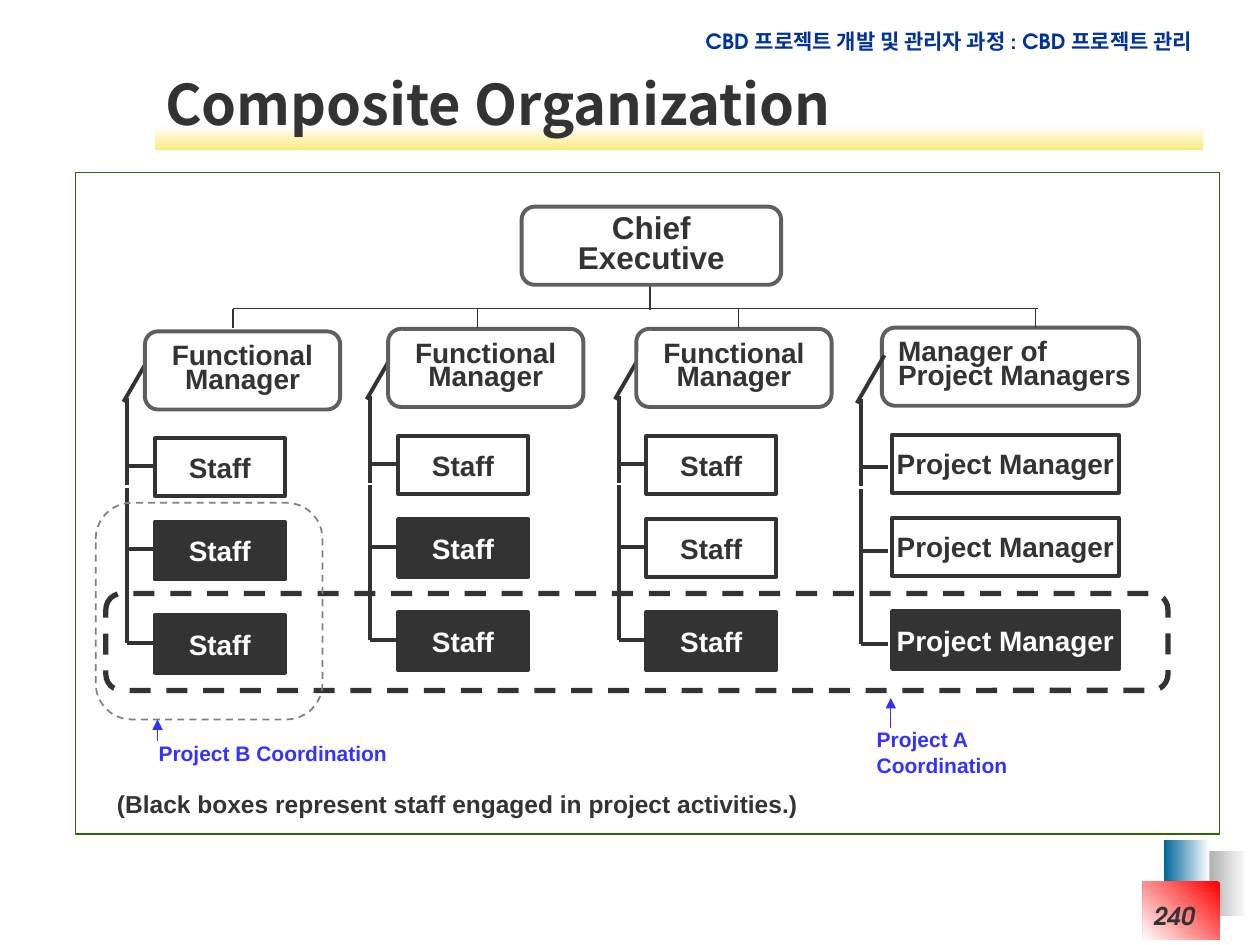
from dataclasses import dataclass

import pptx
import pptx.dml.color
import pptx.enum.dml
import pptx.enum.shapes
import pptx.enum.text
import pptx.oxml
import pptx.util
from lxml import etree

Inches, Pt = pptx.util.Inches, pptx.util.Pt
SHAPES = pptx.enum.shapes.MSO_SHAPE
ALIGN = pptx.enum.text.PP_ALIGN
ANCHOR = pptx.enum.text.MSO_ANCHOR
DASH = pptx.enum.dml.MSO_LINE.DASH
DARK, GREY, WHITE, BLUE = "333333", "5F5F5F", "FFFFFF", "3333FF"


@dataclass
class Box:
    left: float
    top: float
    width: float
    height: float

    def lengths(self):
        return [Inches(v) for v in (self.left, self.top, self.width, self.height)]


@dataclass
class Style:
    size: float = 16
    color: str = DARK
    font: str = "Arial"
    align: ALIGN = ALIGN.LEFT
    spacing: float = 1.0
    italic: bool = False


@dataclass
class Team:
    left: float
    top: float
    engaged: tuple[bool, ...]


@dataclass
class Gradient:
    box: Box
    start: str
    end: str
    angle: float


ROW_OFFSETS = (0, 0.66, 1.4)
FUNCTIONAL_TEAMS = [
    Team(1.23, 3.48, (False, True, True)),
    Team(3.16, 3.46, (False, True, True)),
    Team(5.13, 3.46, (False, False, True)),
]
PROJECT_TEAM = Team(7.08, 3.45, (False, False, True))
DECORATIONS = [
    Gradient(Box(9.5, 6.75, 0.4, 0.52), WHITE, "969696", 180),
    Gradient(Box(9.24, 6.67, 0.36, 0.52), WHITE, "006699", 180),
    Gradient(Box(9.07, 7, 0.61, 0.46), "FF0000", WHITE, 225),
    Gradient(Box(1.23, 1, 8.32, 0.19), "FEFEFE", "FBEC7F", 270),
]


def rgb(color: str):
    return pptx.dml.color.RGBColor.from_string(color)


def write(shape, text: str, style: Style, wrap: bool = False):
    frame = shape.text_frame
    frame.text = text
    frame.word_wrap = wrap
    for paragraph in frame.paragraphs:
        paragraph.alignment = style.align
        paragraph.line_spacing = style.spacing
        for run in paragraph.runs:
            run.font.name = style.font
            run.font.size = Pt(style.size)
            run.font.bold = True
            run.font.italic = style.italic
            run.font.color.rgb = rgb(style.color)


def add_box(slide, kind, box: Box, line: str, weight: float, fill: str | None = None, dash=None):
    shape = slide.shapes.add_shape(kind, *box.lengths())
    shape.shadow.inherit = False
    if fill:
        shape.fill.solid()
        shape.fill.fore_color.rgb = rgb(fill)
    else:
        shape.fill.background()
    shape.line.color.rgb = rgb(line)
    shape.line.width = Pt(weight)
    if dash:
        shape.line.dash_style = dash
    return shape


def add_gradient(slide, gradient: Gradient):
    shape = slide.shapes.add_shape(SHAPES.RECTANGLE, *gradient.box.lengths())
    shape.shadow.inherit = False
    shape.line.fill.background()
    shape.fill.gradient()
    shape.fill.gradient_angle = gradient.angle
    for stop, color in zip(shape.fill.gradient_stops, (gradient.start, gradient.end)):
        stop.color.rgb = rgb(color)


def add_line(slide, start, end, weight: float = 2.25, color: str = DARK, arrow: bool = False):
    line = slide.shapes.add_connector(
        pptx.enum.shapes.MSO_CONNECTOR.STRAIGHT, *(Inches(v) for v in (*start, *end)))
    line.line.color.rgb = rgb(color)
    line.line.width = Pt(weight)
    if arrow:
        etree.SubElement(line.line._get_or_add_ln(), pptx.oxml.ns.qn("a:tailEnd"), type="triangle")
    etree.SubElement(line._element.spPr, pptx.oxml.ns.qn("a:effectLst"))


def add_text(slide, box: Box, text: str, style: Style, wrap: bool = False):
    shape = slide.shapes.add_textbox(*box.lengths())
    write(shape, text, style, wrap)
    shape.text_frame.auto_size = pptx.enum.text.MSO_AUTO_SIZE.SHAPE_TO_FIT_TEXT


def add_manager(slide, box: Box, text: str, style: Style):
    shape = add_box(slide, SHAPES.ROUNDED_RECTANGLE, box, GREY, 2.25, WHITE)
    shape.text_frame.vertical_anchor = ANCHOR.MIDDLE
    write(shape, text, style)


def add_members(slide, team: Team, width: float, text: str):
    for offset, engaged in zip(ROW_OFFSETS, team.engaged):
        fill, color = (DARK, WHITE) if engaged else (WHITE, DARK)
        box = Box(team.left, team.top + offset, width, 0.46)
        shape = add_box(slide, SHAPES.RECTANGLE, box, DARK, 2.25, fill)
        shape.text_frame.vertical_anchor = ANCHOR.MIDDLE
        write(shape, text, Style(color=color, align=ALIGN.CENTER))


def add_branch(slide, right: float, top: float):
    """Slanted lead from the manager, spine and one tie per member."""
    spine = right - 0.22
    add_line(slide, (right - 0.03, top - 0.67), (right - 0.25, top - 0.29))
    for offset in ROW_OFFSETS:
        y = top + 0.22 + offset
        add_line(slide, (spine, y), (right, y))
    add_line(slide, (spine, top + 0.39), (spine, top + 1.62))
    add_line(slide, (spine, top + 0.37), (spine, top - 0.32))


def main():
    presentation = pptx.Presentation()
    presentation.slide_width, presentation.slide_height = Inches(10), Inches(7.5)
    slide = presentation.slides.add_slide(presentation.slide_layouts[5])

    for decoration in DECORATIONS:
        add_gradient(slide, decoration)
    add_text(slide, Box(5.4, 0.18, 4.16, 0.3), "CBD 프로젝트 개발 및 관리자 과정 : CBD 프로젝트 관리",
             Style(12, "003399", "TeX Gyre Adventor", ALIGN.RIGHT), wrap=True)

    title = slide.shapes.title
    title.left, title.top, title.width, title.height = Box(1.21, 0.51, 8.32, 0.61).lengths()
    write(title, "Composite Organization", Style(32, font="Noto Sans CJK KR"), wrap=True)
    title.text_frame.vertical_anchor = ANCHOR.MIDDLE
    slide.shapes._spTree.append(title._element)  # above the yellow bar

    add_box(slide, SHAPES.RECTANGLE, Box(0.6, 1.37, 9.08, 5.25), "336600", 0.75)

    add_members(slide, PROJECT_TEAM, 1.8, "Project Manager")
    add_manager(slide, Box(7, 2.6, 2.04, 0.62), "Manager of\nProject Managers", Style(spacing=0.7))
    add_branch(slide, 7.05, 3.49)
    for team in FUNCTIONAL_TEAMS:
        add_members(slide, team, 1.03, "Staff")
        add_branch(slide, team.left, team.top)
        add_manager(slide, Box(team.left - 0.08, team.top - 0.85, 1.55, 0.62),
                    "Functional\nManager", Style(align=ALIGN.CENTER, spacing=0.7))

    add_line(slide, (5.16, 2.08), (5.16, 2.46), 0.75)
    add_manager(slide, Box(4.14, 1.64, 2.06, 0.62), "Chief\nExecutive",
                Style(18, align=ALIGN.CENTER, spacing=0.8))
    add_line(slide, (1.85, 2.45), (8.24, 2.45), 0.75)
    for x in (1.85, 3.79, 5.86, 8.22):
        add_line(slide, (x, 2.45), (x, 2.6), 0.75)

    add_box(slide, SHAPES.ROUNDED_RECTANGLE, Box(0.84, 4.71, 8.43, 0.77), DARK, 3, dash=DASH)
    add_box(slide, SHAPES.ROUNDED_RECTANGLE, Box(0.76, 3.99, 1.8, 1.72), "808080", 1, dash=DASH)
    add_line(slide, (7.07, 5.78), (7.07, 5.54), 0.75, BLUE, arrow=True)
    add_line(slide, (1.25, 5.88), (1.25, 5.71), 0.75, BLUE, arrow=True)
    add_text(slide, Box(6.86, 5.72, 1.35, 0.5), "Project A\nCoordination", Style(12, BLUE), wrap=True)
    add_text(slide, Box(1.16, 5.83, 2.15, 0.3), "Project B Coordination", Style(12, BLUE), wrap=True)
    add_text(slide, Box(0.83, 6.21, 5.75, 0.34),
             "(Black boxes represent staff engaged in project activities.)", Style(14), wrap=True)
    add_text(slide, Box(8.35, 7.1, 1.23, 0.4), "240",
             Style(14, font="TeX Gyre Adventor", align=ALIGN.RIGHT, italic=True), wrap=True)

    presentation.save("out.pptx")


if __name__ == "__main__":
    main()
